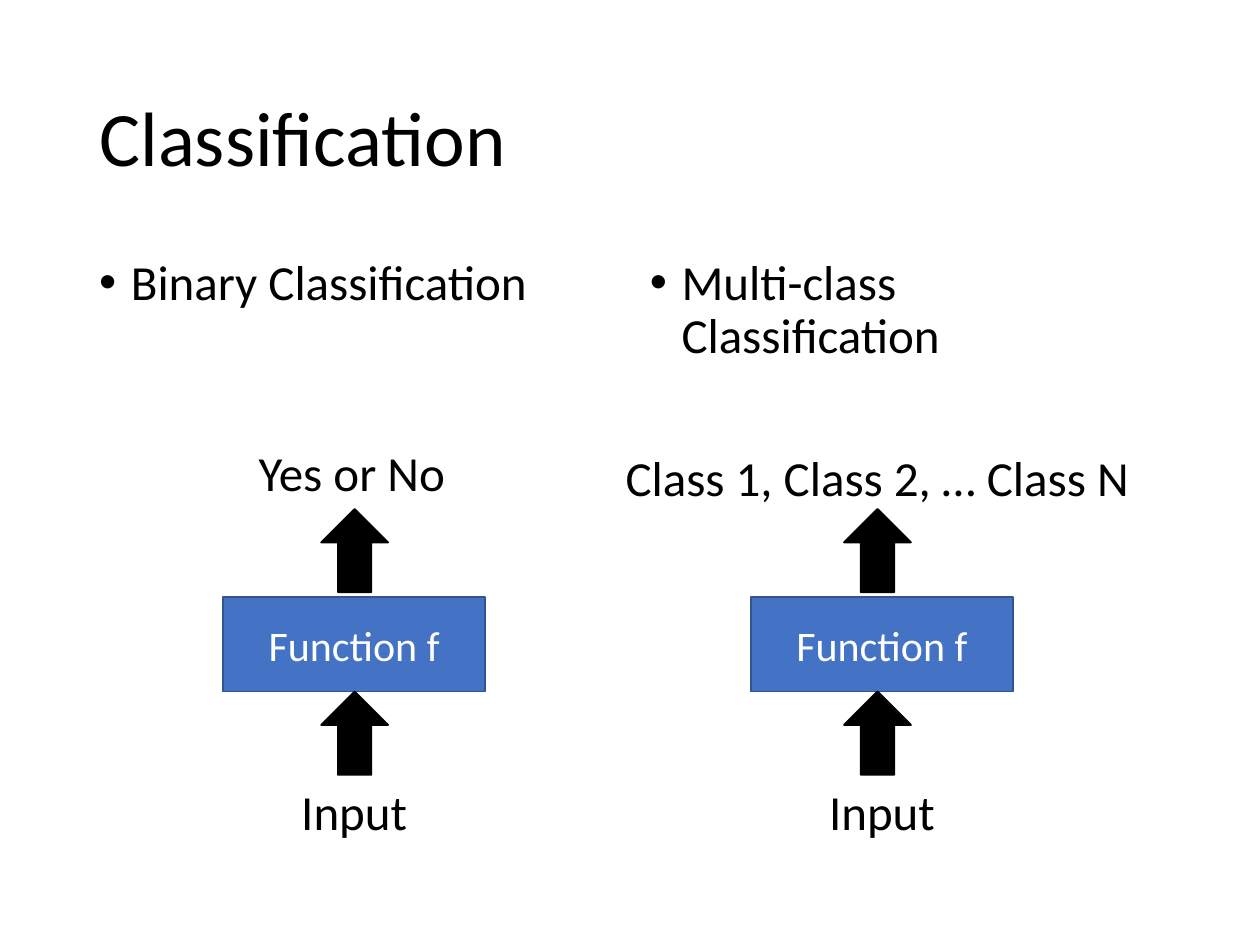
from dataclasses import dataclass

from lxml.etree import SubElement
from pptx import Presentation
from pptx.dml.color import RGBColor
from pptx.enum.shapes import MSO_SHAPE as SHAPE
from pptx.enum.text import MSO_ANCHOR as ANCHOR, MSO_AUTO_SIZE as AUTO, PP_ALIGN as ALIGN
from pptx.oxml.ns import qn
from pptx.util import Cm, Pt

FONT = "Calibri"
BLACK, WHITE, BLUE, NAVY = "000000", "FFFFFF", "4472C4", "325491"
BOX_W, BOX_H, BOX_TOP = 5.28, 1.9, 12.04
ARROW_W, ARROW_H = 1.35, 1.68
ARROW_TOPS = (10.26, 13.94)
LABEL_H = 1.45


@dataclass
class Task:
    """One column: a heading and a diagram read from input up to output."""
    heading: str
    heading_left: float
    box_mid: float
    arrow_mid: float
    output: str
    output_mid: float
    output_top: float
    output_w: float


TASKS = [
    Task("Binary Classification", 1.75, 7.14, 7.15, "Yes or No", 7.09, 8.79, 5.38),
    Task("Multi-class Classification", 12.85, 17.78, 17.69,
         "Class 1, Class 2, … Class N", 17.68, 8.89, 10.92),
]


def rgb(color: str) -> RGBColor:
    return RGBColor.from_string(color)


def write(p, text: str, size: float, color: str = BLACK, align=ALIGN.CENTER) -> None:
    p.alignment = align
    r = p.add_run()
    r.text = text
    r.font.name, r.font.size = FONT, Pt(size)
    r.font.color.rgb = rgb(color)


def add_text(s, left: float, top: float, width: float, height: float):
    tf = s.shapes.add_textbox(Cm(left), Cm(top), Cm(width), Cm(height)).text_frame
    tf.word_wrap = True
    return tf


def add_heading(s, text: str, left: float) -> None:
    p = add_text(s, left, 5.08, 10.8, 12.09).paragraphs[0]
    pPr = p._p.get_or_add_pPr()
    pPr.set("marL", str(Cm(0.64)))
    pPr.set("indent", str(-Cm(0.64)))
    SubElement(pPr, qn("a:buFont")).set("typeface", "Arial")
    SubElement(pPr, qn("a:buChar")).set("char", "•")
    p.line_spacing = 0.9
    write(p, text, 28, align=ALIGN.LEFT)


def add_label(s, text: str, mid: float, top: float, width: float) -> None:
    tf = add_text(s, mid - width / 2, top, width, LABEL_H)
    tf.auto_size = AUTO.SHAPE_TO_FIT_TEXT
    write(tf.paragraphs[0], text, 28)


def add_block(s, kind, mid: float, top: float, width: float, height: float,
              fill: str, line: str):
    sp = s.shapes.add_shape(kind, Cm(mid - width / 2), Cm(top), Cm(width), Cm(height))
    sp.shadow.inherit = False
    sp.fill.solid()
    sp.fill.fore_color.rgb = rgb(fill)
    sp.line.color.rgb = rgb(line)
    sp.line.width = Pt(1)
    return sp


def add_task(s, task: Task) -> None:
    add_heading(s, task.heading, task.heading_left)
    # Function box
    sp = add_block(s, SHAPE.RECTANGLE, task.box_mid, BOX_TOP, BOX_W, BOX_H, BLUE, NAVY)
    sp.text_frame.vertical_anchor = ANCHOR.MIDDLE
    write(sp.text_frame.paragraphs[0], "Function f", 24, WHITE)
    # Arrows out of and into the box
    for top in ARROW_TOPS:
        add_block(s, SHAPE.UP_ARROW, task.arrow_mid, top, ARROW_W, ARROW_H, BLACK, BLACK)
    # Labels at both ends
    add_label(s, "Input", task.box_mid, 15.62, 6.2)
    add_label(s, task.output, task.output_mid, task.output_top, task.output_w)


def main() -> None:
    prs = Presentation()
    prs.slide_width, prs.slide_height = Cm(25.4), Cm(19.05)
    s = prs.slides.add_slide(prs.slide_layouts[5])

    # Title
    title = s.shapes.title
    title.left, title.top, title.width, title.height = Cm(1.75), Cm(1.02), Cm(21.89), Cm(3.68)
    tf = title.text_frame
    tf.auto_size = AUTO.NONE
    tf.vertical_anchor = ANCHOR.MIDDLE
    tf.paragraphs[0].line_spacing = 0.9
    write(tf.paragraphs[0], "Classification", 44, align=ALIGN.LEFT)

    # Two columns
    for task in TASKS:
        add_task(s, task)

    prs.save("out.pptx")


if __name__ == "__main__":
    main()
